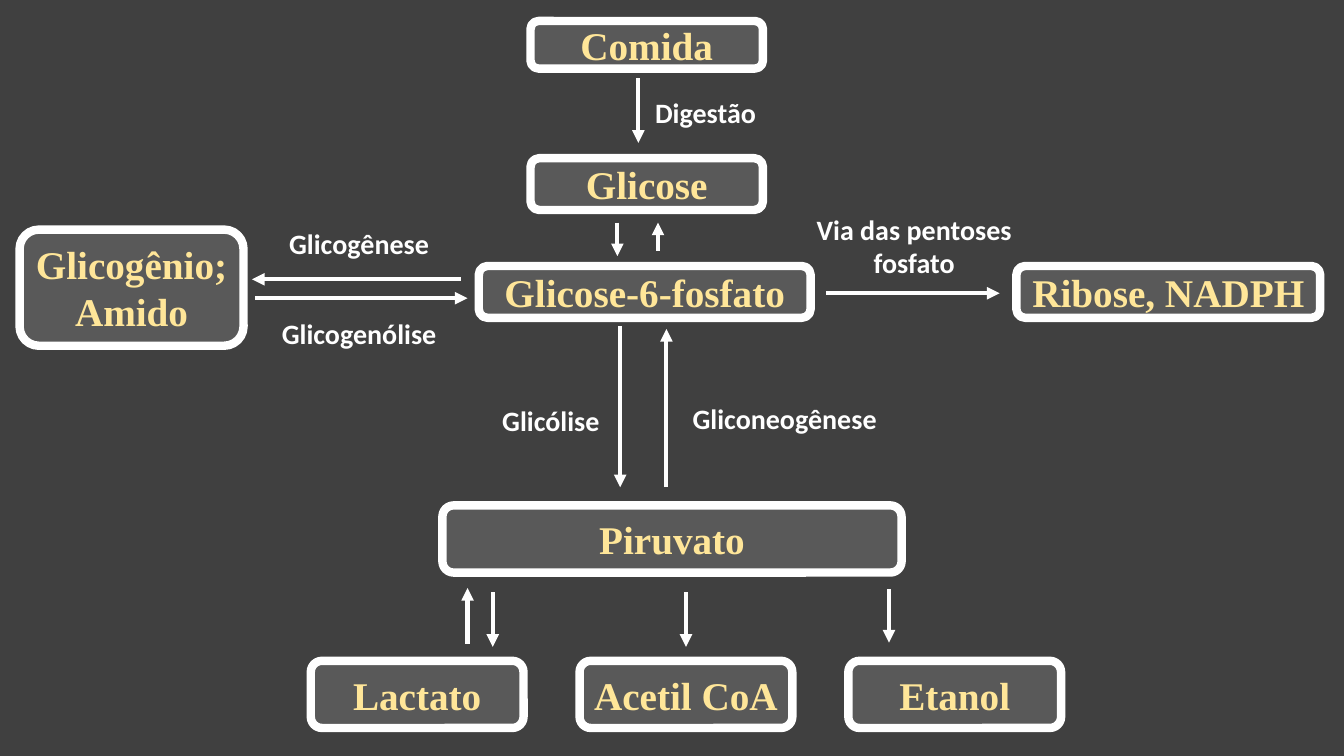
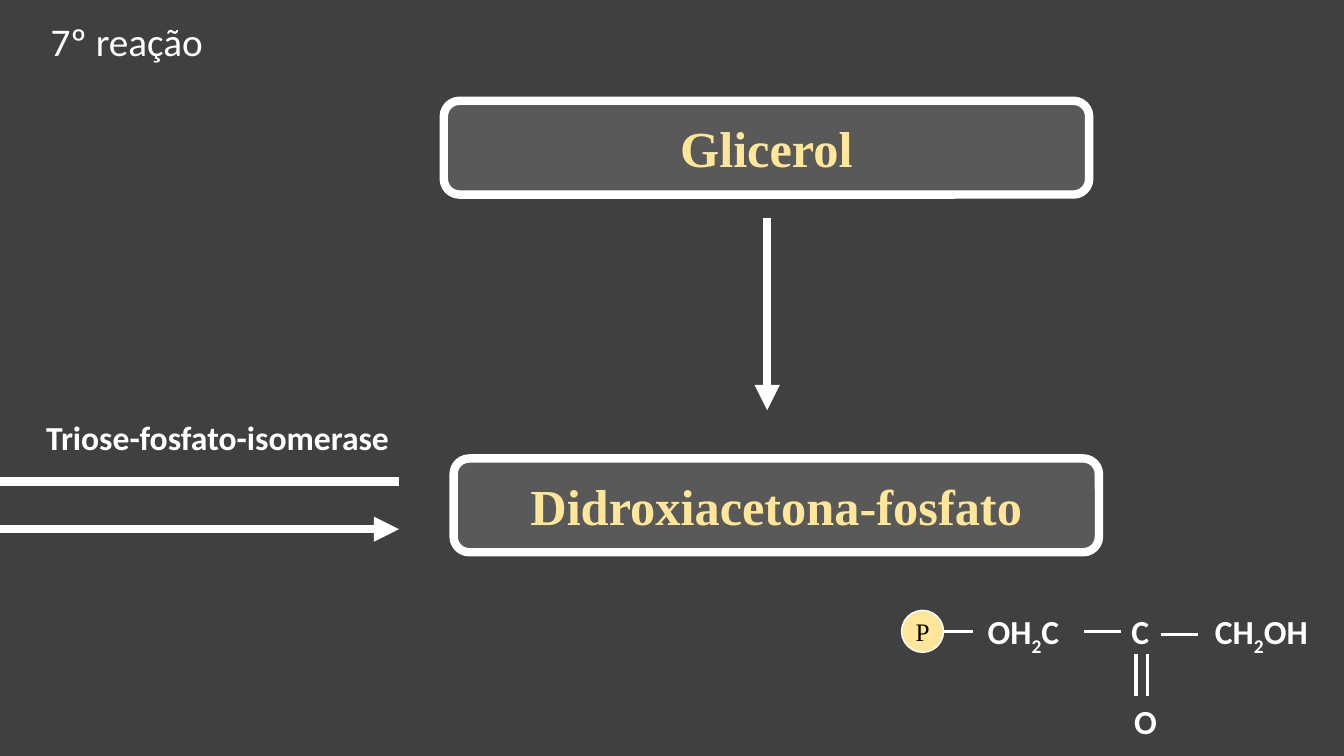
import dataclasses

import pptx
import pptx.dml.color
import pptx.enum.shapes
import pptx.enum.text
import pptx.oxml.ns
import pptx.slide
import pptx.util
import lxml.etree

Pt = pptx.util.Pt
Shape = pptx.enum.shapes.MSO_SHAPE
Align = pptx.enum.text.PP_ALIGN
Anchor = pptx.enum.text.MSO_ANCHOR

BACKGROUND, NODE, WHITE, GOLD, BLACK = "404040", "595959", "FFFFFF", "FFE699", "000000"
SANS, SERIF = "Calibri", "Times New Roman"
TITLE_ONLY, BLANK = 5, 6


def color(value):
    return pptx.dml.color.RGBColor.from_string(value)


def add_child(parent, tag, **attributes):
    lxml.etree.SubElement(parent, pptx.oxml.ns.qn(tag), attributes)


def format_paragraph(paragraph, size, font=SANS, ink=WHITE, bold=True, align=Align.CENTER):
    paragraph.alignment = align
    paragraph.font.size = Pt(size)
    paragraph.font.name = font
    paragraph.font.bold = bold
    paragraph.font.color.rgb = color(ink)


@dataclasses.dataclass
class Region:
    slide: pptx.slide.Slide
    left: float
    top: float
    width: float
    height: float

    def place(self, left, top, width, height):
        return Pt(self.left + left), Pt(self.top + top), Pt(width), Pt(height)

    def shape(self, kind, box, text, fill, line_width, margin, **text_format):
        shape = self.slide.shapes.add_shape(kind, *self.place(*box))
        shape.shadow.inherit = False
        shape.fill.solid()
        shape.fill.fore_color.rgb = color(fill)
        shape.line.color.rgb = color(WHITE)
        shape.line.width = Pt(line_width)
        frame = shape.text_frame
        frame.margin_left = frame.margin_right = Pt(margin)
        frame.margin_top = frame.margin_bottom = 0
        frame.vertical_anchor = Anchor.MIDDLE
        frame.text = text
        for paragraph in frame.paragraphs:
            format_paragraph(paragraph, font=SERIF, **text_format)

    def node(self, box, text, size=28):
        self.shape(Shape.ROUNDED_RECTANGLE, box, text, NODE, 6, 4, size=size, ink=GOLD)

    def label(self, box, text, size=20, align=Align.CENTER):
        text_box = self.slide.shapes.add_textbox(*self.place(*box))
        frame = text_box.text_frame
        frame.word_wrap = True
        frame.text = text
        format_paragraph(frame.paragraphs[0], size, align=align)

    def formula(self, box, *parts):
        text_box = self.slide.shapes.add_textbox(*self.place(*box))
        text_box.text_frame.word_wrap = True
        paragraph = text_box.text_frame.paragraphs[0]
        format_paragraph(paragraph, 24)
        for part in parts:
            run = paragraph.add_run()
            run.text = part
            if part.isdigit():
                run._r.get_or_add_rPr().set("baseline", "-25000")

    def line(self, start_x, start_y, end_x, end_y, width=3, head=True):
        connector = self.slide.shapes.add_connector(
            pptx.enum.shapes.MSO_CONNECTOR.STRAIGHT,
            Pt(self.left + start_x), Pt(self.top + start_y),
            Pt(self.left + end_x), Pt(self.top + end_y))
        connector.line.color.rgb = color(WHITE)
        connector.line.width = Pt(width)
        if head:
            add_child(connector.line._get_or_add_ln(), "a:tailEnd", type="triangle")
        add_child(connector._element.spPr, "a:effectLst")


def main_pathway(region):
    for text, center, top, width, height in [
        ("Comida", 146, 0, 166, 34),
        ("Glicose", 146, 98, 166, 37),
        ("Glicose-6-fosfato", 144.5, 175, 237, 37),
        ("Piruvato", region.width / 2, 346, region.width, 48),
    ]:
        region.node((center - width / 2, top, width, height), text)
    for x, start, end in [(140, 41, 87), (125, 144, 168), (154, 164, 144),
                          (127, 218, 333), (160, 333, 220)]:
        region.line(x, start, x, end)
    region.label((127, 50, 122, 32), "Digestão")
    region.label((-5, 270, 165, 32), "Glicólise")
    region.label((146, 268, 197, 32), "Gliconeogênese")


def storage_branch(region):
    region.node((0, 6, 160, 83), "Glicogênio;\nAmido")
    region.line(315, 41.5, 166, 41.5)
    region.line(168, 55, 320, 55)
    for text, top in [("Glicogênese", 0), ("Glicogenólise", 64.5)]:
        region.label((160, top, 165, 32), text)


def pentose_branch(region):
    region.label((0, 0, 184, 55), "Via das pentoses fosfato")
    region.line(29, 61.5, 153, 61.5)
    region.node((region.width - 217, 42, 217, 37), "Ribose, NADPH")


def pyruvate_products(region):
    for index, text in enumerate(["Lactato", "Acetil CoA", "Etanol"]):
        region.node((index * 192, region.height - 48, 152, 48), text)
    for x, start, end in [(112, 40, 0), (130, 3, 42), (268, 3, 42), (413, 1, 39)]:
        region.line(x, start, x, end)


def reaction_title(region, text):
    title = region.slide.shapes.title
    title.left, title.top, title.width, title.height = region.place(0, 0, region.width, region.height)
    title.text_frame.text = text
    title.text_frame.vertical_anchor = Anchor.TOP
    title.text_frame.auto_size = pptx.enum.text.MSO_AUTO_SIZE.NONE
    format_paragraph(title.text_frame.paragraphs[0], 28, bold=False)


def glycerol_pathway(region):
    region.node((0, 0, 461, 67), "Glicerol", 36)
    region.line(231, 83.5, 231, 221, 6)
    region.node((7, 255.5, 461, 67), "Didroxiacetona-fosfato", 36)


def isomerase_arrows(region):
    region.label((0, 0, region.width, 36), "Triose-fosfato-isomerase", 24, Align.RIGHT)
    region.line(region.width, 50, 0, 50, 6, head=False)
    region.line(0, 84, region.width, 84, 6)


def phosphate_formula(region):
    for start_x, start_y, end_x, end_y in [
        (26, 18, 51, 18), (130, 18, 157, 18), (185, 20, 212, 20),
        (167.5, 34, 167.5, 64), (175.5, 34, 175.5, 64),
    ]:
        region.line(start_x, start_y, end_x, end_y, 2.25, head=False)
    region.shape(Shape.OVAL, (0, 3, 30, 30), "P", GOLD, 1, 0, size=18, ink=BLACK, bold=False)
    region.formula((38, 0, 98, 36), "OH", "2", "C")
    region.formula((152, 0, 37, 36), "C")
    region.formula((207, 0, 100, 36), "CH", "2", "OH")
    region.formula((159, 64, 28, 36), "O")


def metabolism_slide(presentation):
    slide = presentation.slides.add_slide(presentation.slide_layouts[BLANK])
    main_pathway(Region(slide, 316, 15, 328, 394))
    storage_branch(Region(slide, 14, 158, 325, 97))
    pentose_branch(Region(slide, 561, 148, 382, 79))
    pyruvate_products(Region(slide, 222, 420, 536, 100))


def reaction_slide(presentation):
    slide = presentation.slides.add_slide(presentation.slide_layouts[TITLE_ONLY])
    reaction_title(Region(slide, 1.5, 9, 178, 41), "7º reação")
    glycerol_pathway(Region(slide, 317, 72, 468, 323))
    isomerase_arrows(Region(slide, 0, 294, 285, 88))
    phosphate_formula(Region(slide, 644, 433, 307, 100))


def main():
    presentation = pptx.Presentation()
    presentation.slide_width = Pt(960)
    presentation.slide_height = Pt(540)
    background = presentation.slide_master.background.fill
    background.solid()
    background.fore_color.rgb = color(BACKGROUND)
    metabolism_slide(presentation)
    reaction_slide(presentation)
    presentation.save("out.pptx")


if __name__ == "__main__":
    main()
